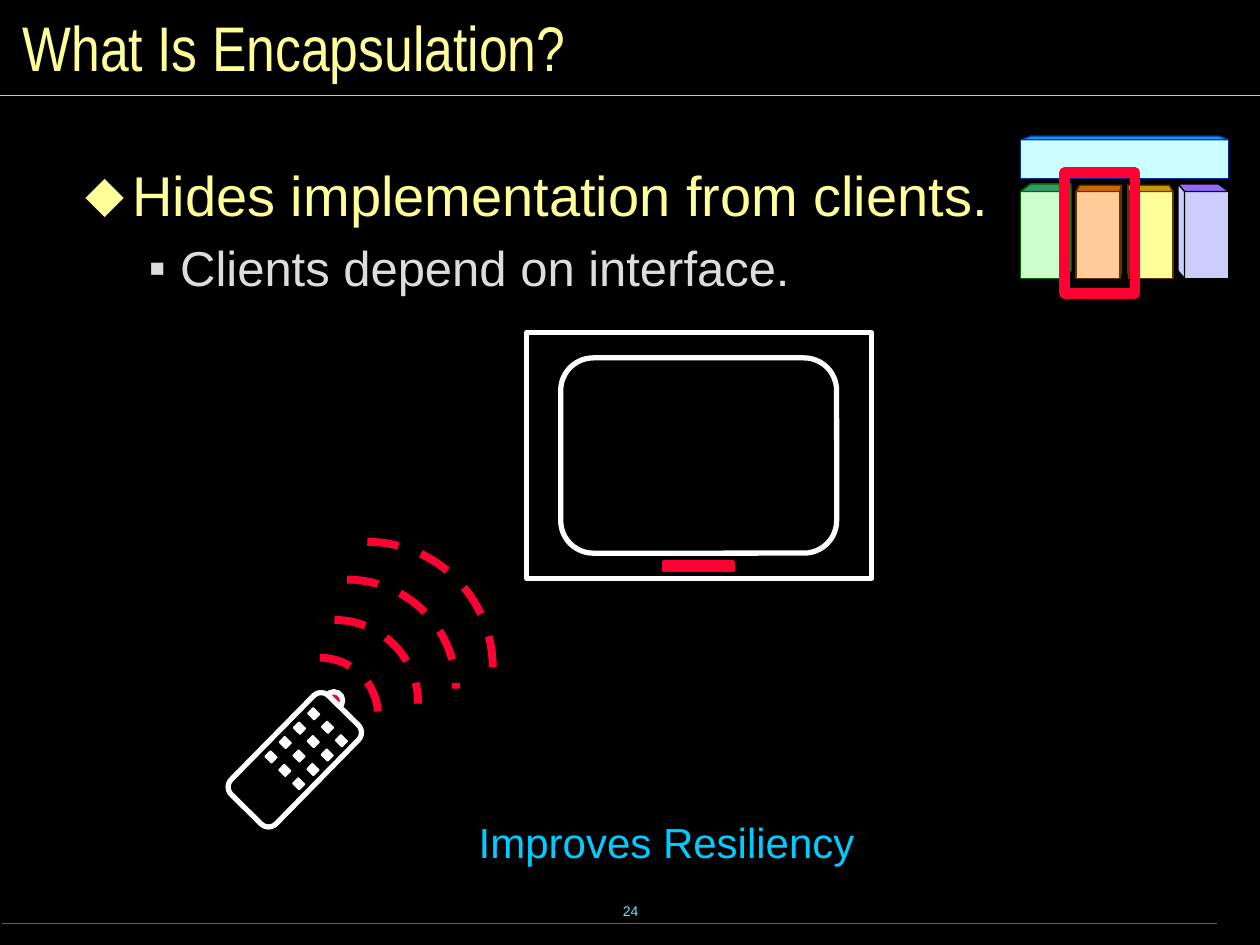
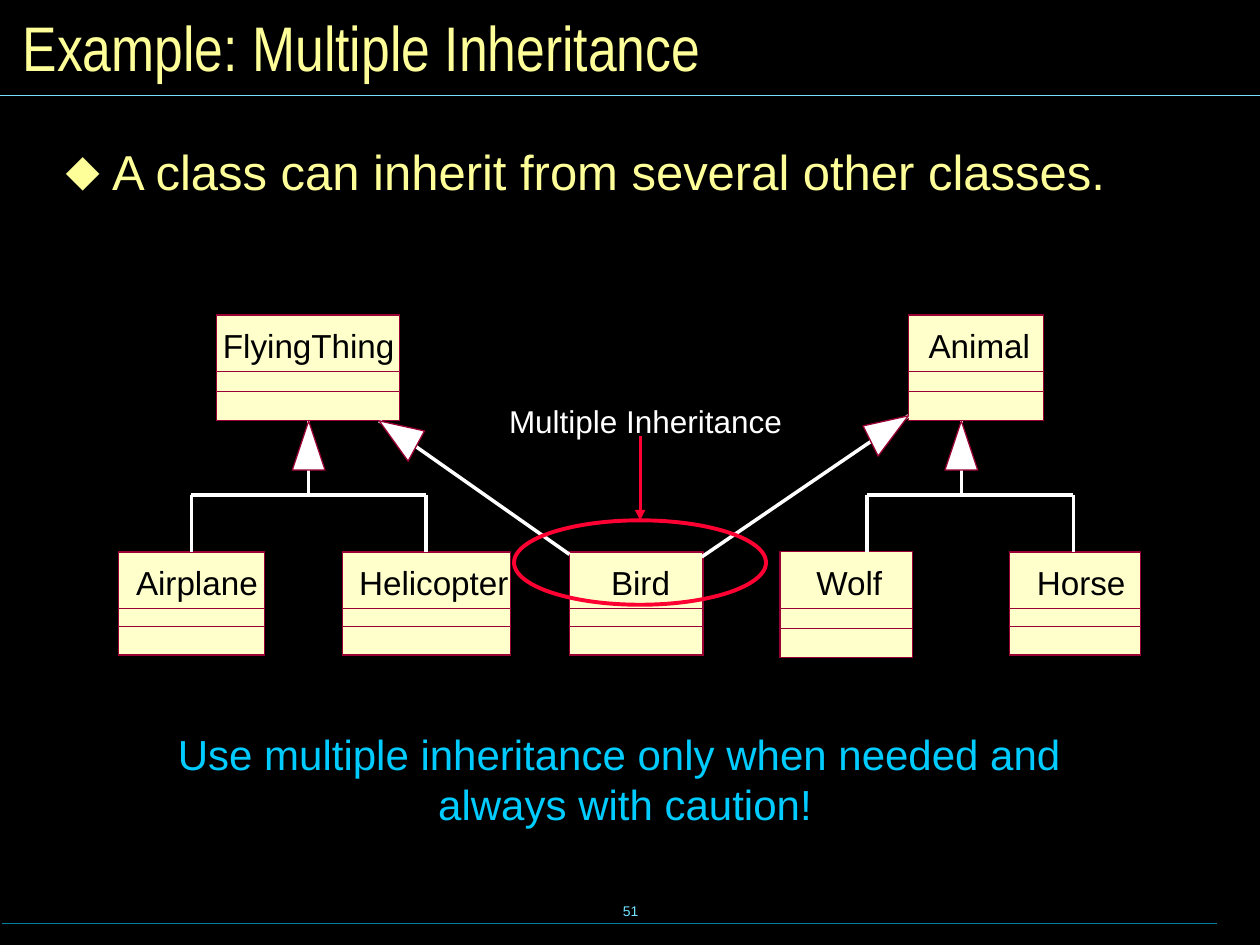
from lxml.etree import SubElement
from pptx import Presentation
from pptx.dml.color import RGBColor
from pptx.enum.dml import MSO_LINE
from pptx.enum.shapes import MSO_CONNECTOR, MSO_SHAPE
from pptx.enum.text import MSO_ANCHOR, MSO_AUTO_SIZE, PP_ALIGN
from pptx.oxml.ns import qn
from pptx.util import Inches, Pt

BLACK = RGBColor(0x00, 0x00, 0x00)
WHITE = RGBColor(0xFF, 0xFF, 0xFF)
YELLOW = RGBColor(0xFF, 0xFF, 0x99)
GRAY = RGBColor(0xDD, 0xDD, 0xDD)
SKY = RGBColor(0x73, 0xE1, 0xFF)
TEAL = RGBColor(0x00, 0x7E, 0x9F)
CYAN = RGBColor(0x00, 0xCC, 0xFF)
RED = RGBColor(0xFF, 0x00, 0x33)
CREAM = RGBColor(0xFF, 0xFF, 0xCC)
MAROON = RGBColor(0x99, 0x00, 0x33)
PALE_GREEN = RGBColor(0xCC, 0xFF, 0xCC)
MID_GREEN = RGBColor(0x33, 0x99, 0x66)
LIVE_GREEN = RGBColor(0x00, 0xCC, 0x66)
DARK_GREEN = RGBColor(0x00, 0x66, 0x00)
LAVENDER = RGBColor(0xCC, 0xCC, 0xFF)
PURPLE = RGBColor(0x99, 0x66, 0xFF)
PALE_CYAN = RGBColor(0xCC, 0xFF, 0xFF)
BLUE = RGBColor(0x00, 0x99, 0xFF)
NAVY = RGBColor(0x00, 0x33, 0x99)
PEACH = RGBColor(0xFF, 0xCC, 0x99)
ORANGE = RGBColor(0xCC, 0x66, 0x00)
GOLD = RGBColor(0xCC, 0x99, 0x00)
OLIVE = RGBColor(0xCC, 0xCC, 0x00)
BROWN = RGBColor(0x66, 0x33, 0x00)

LEFT, CENTER = PP_ALIGN.LEFT, PP_ALIGN.CENTER
TILT = 314.5


def draw(s, kind, geometry, color, width, fill=None):
    """Draw a "line" (x1, y1, x2, y2), a "polygon" (points) or a preset shape (box)."""
    if kind == "line":
        sp = s.shapes.add_connector(MSO_CONNECTOR.STRAIGHT, *map(Inches, geometry))
    elif kind == "polygon":
        start, *rest = [(Inches(x), Inches(y)) for x, y in geometry]
        builder = s.shapes.build_freeform(*start)
        builder.add_line_segments(rest, close=True)
        sp = builder.convert_to_shape()
    else:
        sp = s.shapes.add_shape(kind, *map(Inches, geometry))
    sp.line.color.rgb = color
    sp.line.width = Pt(width)
    if kind == "line":
        SubElement(sp._element.spPr, qn("a:effectLst"))
        return sp
    sp.shadow.inherit = False
    if fill is None:
        sp.fill.background()
    else:
        sp.fill.solid()
        sp.fill.fore_color.rgb = fill
    return sp


def write(sp, lines, size, color, font="Arial", align=LEFT, margins=(0.1, 0.05),
          wrap=True, anchor=MSO_ANCHOR.TOP):
    tf = sp.text_frame
    side, end = map(Inches, margins)
    frame = dict(margin_left=side, margin_right=side, margin_top=end, margin_bottom=end,
                 word_wrap=wrap, vertical_anchor=anchor, auto_size=MSO_AUTO_SIZE.NONE)
    for name, value in frame.items():
        setattr(tf, name, value)
    for i, line in enumerate(lines):
        p = tf.add_paragraph() if i else tf.paragraphs[0]
        p.alignment = align
        r = p.add_run()
        r.text = line
        r.font.name, r.font.size = font, Pt(size)
        r.font.color.rgb = color


prs = Presentation()
prs.slide_width, prs.slide_height = Inches(10), Inches(7.5)
background = prs.slide_master.background.fill
background.solid()
background.fore_color.rgb = BLACK

# Shared frame: title, bullets, rules and page number
# Bullet levels: marker, colour, indent, hanging, line spacing, space before
LEVELS = [("⬥", YELLOW, 0.37, 0.37, 0.8, 0), ("▪", GRAY, 0.75, 0.25, 0.87, 10.5)]
PAGES = [
    ("What Is Encapsulation?", "24", (0.56, 1.32, 9.28, 5.52), 32,
     ["Hides implementation from clients.", "Clients depend on interface."]),
    ("Example: Multiple Inheritance", "51", (0.4, 1.15, 9.29, 5.52), 28,
     ["A class can inherit from several other classes."]),
]
for title, number, body_box, body_size, bullets in PAGES:
    s = prs.slides.add_slide(prs.slide_layouts[1])
    draw(s, "line", (0, 0.76, 10, 0.76), SKY, 0.75)
    draw(s, "line", (0.02, 7.33, 9.66, 7.33), TEAL, 0.75)
    write(s.shapes.add_textbox(*map(Inches, (3.42, 6.98, 3.17, 0.5))), [number], 8, SKY,
          align=CENTER, wrap=False, anchor=MSO_ANCHOR.MIDDLE)
    heading, body = s.placeholders
    for sp, box in ((heading, (0.08, 0.08, 9.84, 0.58)), (body, body_box)):
        sp.left, sp.top, sp.width, sp.height = map(Inches, box)
    write(heading, [title], 36, YELLOW, "Arial Narrow", anchor=MSO_ANCHOR.MIDDLE)
    write(body, bullets, body_size, YELLOW, margins=(0.12, 0.06))
    for level, p in enumerate(body.text_frame.paragraphs):
        marker, color, indent, hanging, spacing, before = LEVELS[level]
        pPr = p._p.get_or_add_pPr()
        pPr.set("marL", str(Inches(indent)))
        pPr.set("indent", str(-Inches(hanging)))
        SubElement(SubElement(pPr, qn("a:buClr")), qn("a:srgbClr"), val=str(color))
        SubElement(pPr, qn("a:buChar"), char=marker)
        paragraph_format = dict(level=level, line_spacing=spacing, space_before=Pt(before))
        for name, value in paragraph_format.items():
            setattr(p, name, value)
        p.runs[0].font.color.rgb = color
        p.runs[0].font.size = Pt(body_size - 4 * level)

encapsulation, inheritance = prs.slides

# Encapsulation: remote control and television
s = encapsulation
write(s.shapes.add_textbox(*map(Inches, (3, 6.42, 4.58, 0.52))), ["Improves Resiliency"],
      24, CYAN, align=CENTER, margins=(0.12, 0.06))

for x, y, size in ((2.08, 5.22, 0.92), (1.99, 4.92, 1.33), (1.89, 4.6, 1.73),
                   (1.92, 4.3, 1.99)):
    wave = draw(s, MSO_SHAPE.ARC, (x, y, size, size), RED, 4.5)
    wave.line.dash_style = MSO_LINE.DASH

emitter = draw(s, MSO_SHAPE.ARC, (2.58, 5.49, 0.14, 0.14), WHITE, 3, RED)
for i, degrees in enumerate((225, 45)):
    emitter.adjustments[i] = degrees * 0.6  # 60000ths of a degree over 100000
remote = draw(s, MSO_SHAPE.ROUNDED_RECTANGLE, (1.79, 5.78, 1.1, 0.5), WHITE, 3)
remote.rotation = TILT
for row in range(4):
    for col in range(3):
        x = 2.46 + 0.11 * col - 0.113 * row
        y = 5.63 + 0.107 * col + 0.114 * row
        key = draw(s, MSO_SHAPE.RECTANGLE, (x, y, 0.06, 0.07), WHITE, 1, WHITE)
        key.rotation = TILT

draw(s, MSO_SHAPE.RECTANGLE, (4.18, 2.64, 2.74, 1.95), WHITE, 3)
draw(s, MSO_SHAPE.ROUNDED_RECTANGLE, (4.45, 2.84, 2.19, 1.55), WHITE, 3)
draw(s, MSO_SHAPE.RECTANGLE, (5.27, 4.46, 0.55, 0.07), RED, 2, RED)

# Blocks: front x, back x, back x, front x; back top, front top, bottom;
# front, top and side colours; line
BLOCKS = [
    (8.1, 8.18, 8.5, 8.45, 1.46, 1.52, 2.21, PALE_GREEN, MID_GREEN, LIVE_GREEN, DARK_GREEN),
    (9.75, 9.67, 9.35, 9.4, 1.46, 1.52, 2.21, LAVENDER, PURPLE, LAVENDER, BLACK),
    (9.75, 9.68, 8.18, 8.1, 1.08, 1.11, 1.42, PALE_CYAN, BLUE, None, NAVY),
    (8.54, 8.57, 8.9, 8.89, 1.47, 1.52, 2.21, PEACH, ORANGE, ORANGE, BROWN),
    (9.31, 9.28, 8.95, 8.96, 1.47, 1.52, 2.21, YELLOW, GOLD, OLIVE, BROWN),
]
for x1, x2, x3, x4, back, top, bottom, front_fill, top_fill, side_fill, edge in BLOCKS:
    draw(s, MSO_SHAPE.RECTANGLE, (min(x1, x4), top, abs(x4 - x1), bottom - top),
         edge, 0.75, front_fill)
    draw(s, "polygon", [(x1, top), (x2, back), (x3, back), (x4, top)], edge, 0.75, top_fill)
    if side_fill is not None:
        side = [(x3, back), (x4, top), (x4, bottom), (x3, bottom - (top - back))]
        draw(s, "polygon", side, edge, 0.75, side_fill)
draw(s, MSO_SHAPE.RECTANGLE, (8.45, 1.37, 0.56, 0.96), RED, 6)

# Multiple inheritance: class diagram
s = inheritance
write(s.shapes.add_textbox(*map(Inches, (0.42, 5.73, 9.08, 0.9))),
      ["Use multiple inheritance only when needed and ", "always with caution!"],
      24, CYAN, align=CENTER)

# Name, left, top, width, height, name left, name width
CLASSES = [
    ("FlyingThing", 1.72, 2.5, 1.45, 0.84, 1.77, 1.36),
    ("Animal", 7.21, 2.5, 1.07, 0.84, 7.37, 0.81),
    ("Horse", 8.01, 4.38, 1.04, 0.82, 8.23, 0.7),
    ("Wolf", 6.19, 4.38, 1.05, 0.84, 6.48, 0.53),
    ("Bird", 4.52, 4.38, 1.06, 0.82, 4.85, 0.47),
    ("Helicopter", 2.72, 4.38, 1.33, 0.82, 2.85, 1.19),
    ("Airplane", 0.94, 4.38, 1.16, 0.82, 1.08, 0.97),
]
for name, left, top, width, height, name_left, name_width in CLASSES:
    for offset, fill in ((0, CREAM), (0.45, None), (height - 0.23, None)):
        draw(s, MSO_SHAPE.RECTANGLE, (left, top + offset, width, height - offset),
             MAROON, 0, fill)
    label = s.shapes.add_textbox(*map(Inches, (name_left, top + 0.08, name_width, 0.32)))
    write(label, [name], 19, BLACK, margins=(0, 0), wrap=False)

for parent, first, last in ((2.45, 1.52, 3.38), (7.63, 6.88, 8.52)):
    for line in ((first, 4.38, first, 3.93), (last, 4.38, last, 3.93),
                 (first, 3.93, last, 3.93), (parent, 3.93, parent, 3.34)):
        draw(s, "line", line, WHITE, 0)
    head = [(parent, 3.34), (parent + 0.13, 3.73), (parent - 0.13, 3.73)]
    draw(s, "polygon", head, MAROON, 0, WHITE)
for line, head in (
    ((4.52, 4.4, 3.01, 3.34), [(3.01, 3.34), (3.37, 3.42), (3.24, 3.66)]),
    ((5.57, 4.42, 7.21, 3.3), [(7.21, 3.3), (6.97, 3.62), (6.85, 3.38)]),
):
    draw(s, "line", line, WHITE, 0)
    draw(s, "polygon", head, MAROON, 0, WHITE)

draw(s, MSO_SHAPE.OVAL, (4.08, 4.13, 2, 0.67), RED, 2.25)
write(s.shapes.add_textbox(*map(Inches, (3.92, 3.13, 2.4, 0.42))), ["Multiple Inheritance"],
      18, WHITE, margins=(0.12, 0.06), wrap=False)
pointer = draw(s, "line", (5.08, 3.46, 5.08, 4.13), RED, 1.75)
SubElement(pointer._element.spPr.find(qn("a:ln")), qn("a:tailEnd"), type="triangle")

prs.save("out.pptx")
